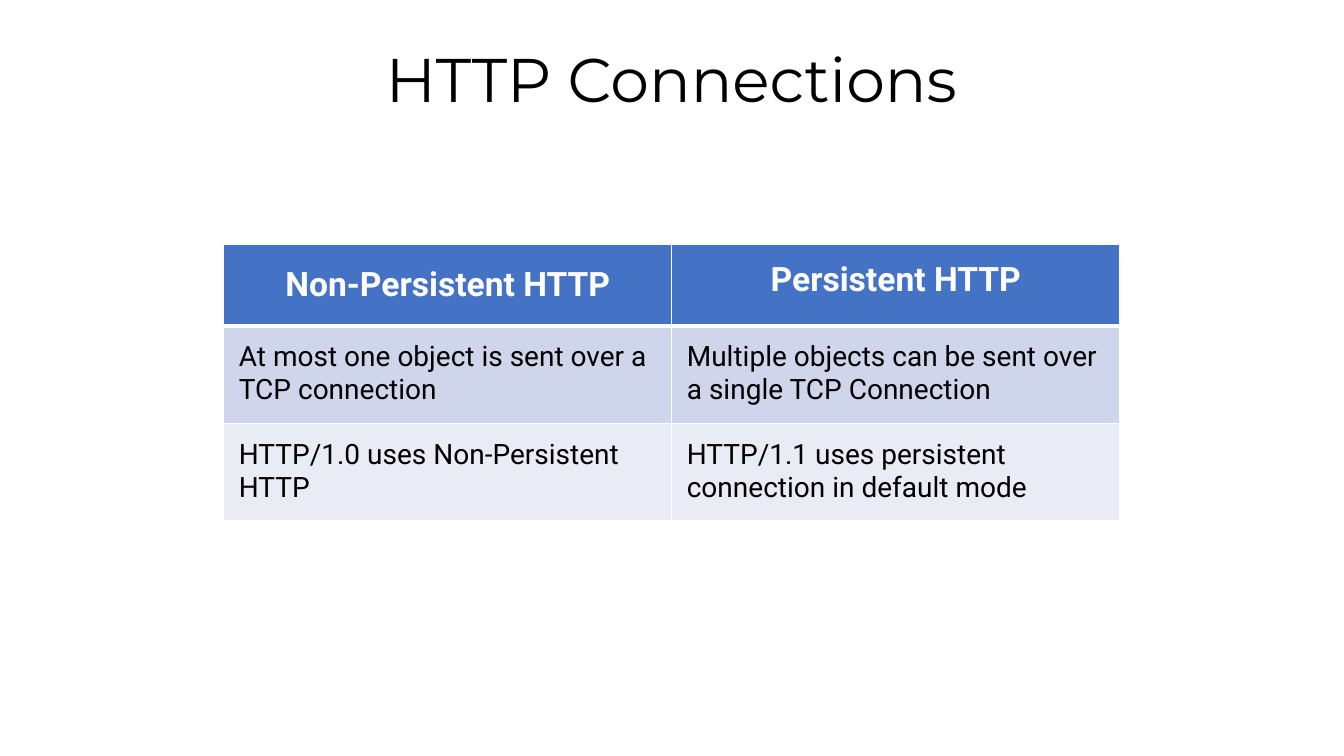
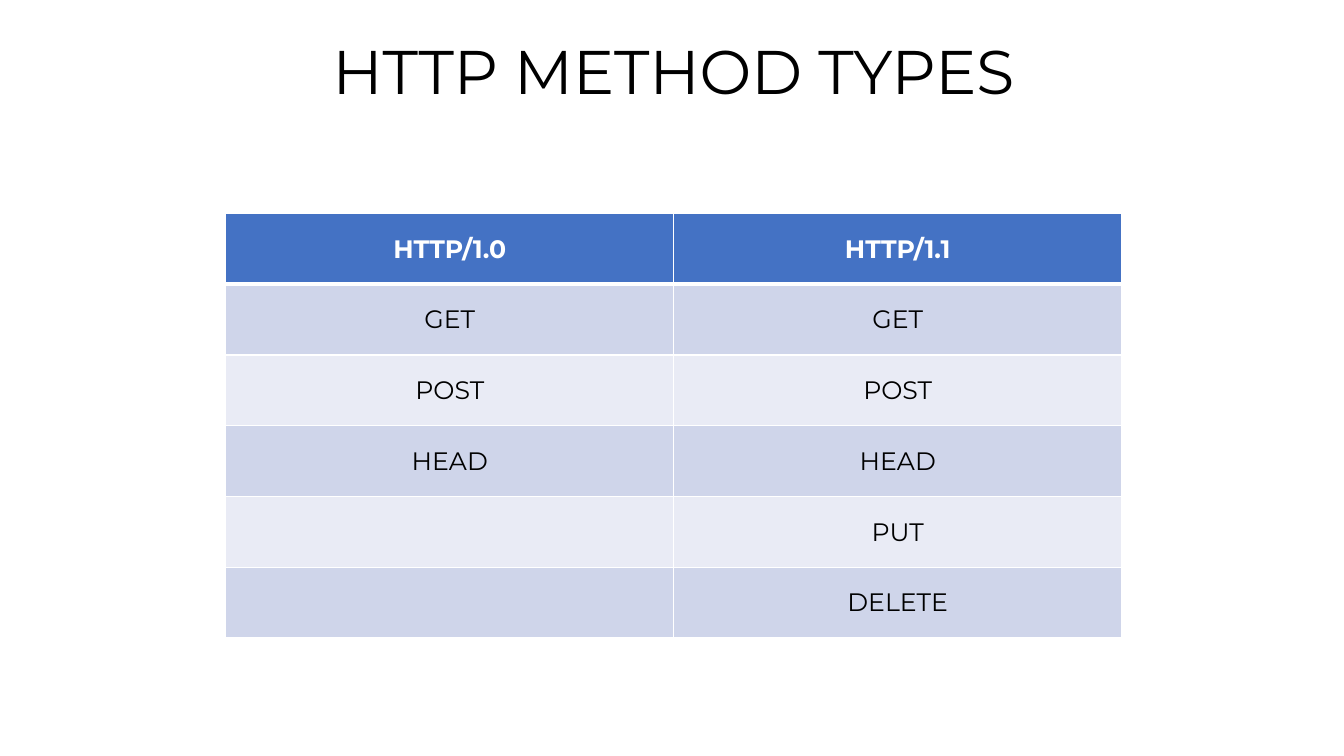
from dataclasses import dataclass

from lxml.etree import SubElement as Sub
from pptx import Presentation
from pptx.dml.color import RGBColor as Rgb
from pptx.enum.text import MSO_ANCHOR as Anchor, MSO_AUTO_SIZE as Fit, PP_ALIGN as Align
from pptx.oxml.ns import qn
from pptx.slide import Slide
from pptx.table import _Cell as Cell
from pptx.text.text import TextFrame as Frame
from pptx.util import Cm, Pt

HUES = {
    "head": "4472C4",
    "odd": "CFD5EA",
    "even": "E9EBF5",
    "white": "FFFFFF",
    "black": "000000",
}
TITLE_FONT = "Montserrat"
COL_W = 11.29
THIN, THICK = 1, 3


@dataclass
class Style:
    font: str
    size: int
    hue: str = "black"
    bold: bool = False
    align: Align = Align.CENTER


@dataclass
class Title:
    text: str
    left: float
    top: float
    width: float


@dataclass
class Grid:
    left: float
    top: float
    rows: list[tuple[str, str]]
    tall: list[float]
    head: Style
    body: Style
    pad: tuple[float, float]
    first: tuple[float, float]


@dataclass
class Page:
    title: Title
    grid: Grid


PAGES = [
    Page(
        Title("HTTP Connections", 9.37, 0.91, 15.11),
        Grid(
            5.64, 6.17,
            [
                ("Non-Persistent HTTP", "Persistent HTTP"),
                ("At most one object is sent over a TCP connection",
                 "Multiple objects can be sent over a single TCP Connection"),
                ("HTTP/1.0 uses Non-Persistent HTTP",
                 "HTTP/1.1 uses persistent connection in default mode"),
            ],
            [2.03, 2.45, 2.45],
            Style("Roboto", 24, "white", True),
            Style("Roboto", 20, align=Align.LEFT),
            pad=(0.38, 0.38),
            first=(0.51, 0.51),
        ),
    ),
    Page(
        Title("HTTP METHOD TYPES", 8.05, 0.71, 17.86),
        Grid(
            5.69, 5.38,
            [
                ("HTTP/1.0", "HTTP/1.1"),
                ("GET", "GET"),
                ("POST", "POST"),
                ("HEAD", "HEAD"),
                ("", "PUT"),
                ("", "DELETE"),
            ],
            [1.78] * 6,
            Style(TITLE_FONT, 18, "white", True),
            Style(TITLE_FONT, 18),
            pad=(0.25, 0.51),
            first=(0.25, 0.51),
        ),
    ),
]


def color(name: str) -> Rgb:
    return Rgb.from_string(HUES[name])


def write(frame: Frame, text: str, style: Style) -> None:
    para = frame.paragraphs[0]
    para.alignment = style.align
    if not text:
        return
    run = para.add_run()
    run.text = text
    run.font.name = style.font
    run.font.size = Pt(style.size)
    run.font.bold = style.bold
    run.font.color.rgb = color(style.hue)


def edge(cell: Cell, row: int) -> None:
    props = cell._tc.get_or_add_tcPr()
    above = THICK if row == 1 else THIN
    below = THICK if row == 0 else THIN
    for side, width in (("L", THIN), ("R", THIN), ("T", above), ("B", below)):
        line = Sub(props, qn(f"a:ln{side}"), w=str(Pt(width)))
        fill = Sub(line, qn("a:solidFill"))
        Sub(fill, qn("a:srgbClr"), val=HUES["white"])


def add_title(slide: Slide, title: Title) -> None:
    shape = slide.shapes.title
    shape.left, shape.top = Cm(title.left), Cm(title.top)
    shape.width, shape.height = Cm(title.width), Cm(2.13)
    frame = shape.text_frame
    frame.word_wrap = False
    frame.auto_size = Fit.SHAPE_TO_FIT_TEXT
    frame.vertical_anchor = Anchor.TOP
    write(frame, title.text, Style(TITLE_FONT, 44))


def add_grid(slide: Slide, grid: Grid) -> None:
    cols = len(grid.rows[0])
    table = slide.shapes.add_table(
        len(grid.rows), cols, Cm(grid.left), Cm(grid.top),
        Cm(COL_W * cols), Cm(sum(grid.tall)),
    ).table
    for col in table.columns:
        col.width = Cm(COL_W)
    for r, texts in enumerate(grid.rows):
        table.rows[r].height = Cm(grid.tall[r])
        band = "head" if r == 0 else "odd" if r % 2 else "even"
        for c, text in enumerate(texts):
            cell = table.cell(r, c)
            side, rim = grid.first if r == c == 0 else grid.pad
            cell.margin_left = cell.margin_right = Cm(side)
            cell.margin_top = cell.margin_bottom = Cm(rim)
            edge(cell, r)
            cell.fill.solid()
            cell.fill.fore_color.rgb = color(band)
            write(cell.text_frame, text, grid.body if r else grid.head)


def main() -> None:
    deck = Presentation()
    deck.slide_width, deck.slide_height = Cm(33.87), Cm(19.05)
    for page in PAGES:
        slide = deck.slides.add_slide(deck.slide_layouts[5])
        add_title(slide, page.title)
        add_grid(slide, page.grid)
    deck.save("out.pptx")


if __name__ == "__main__":
    main()
